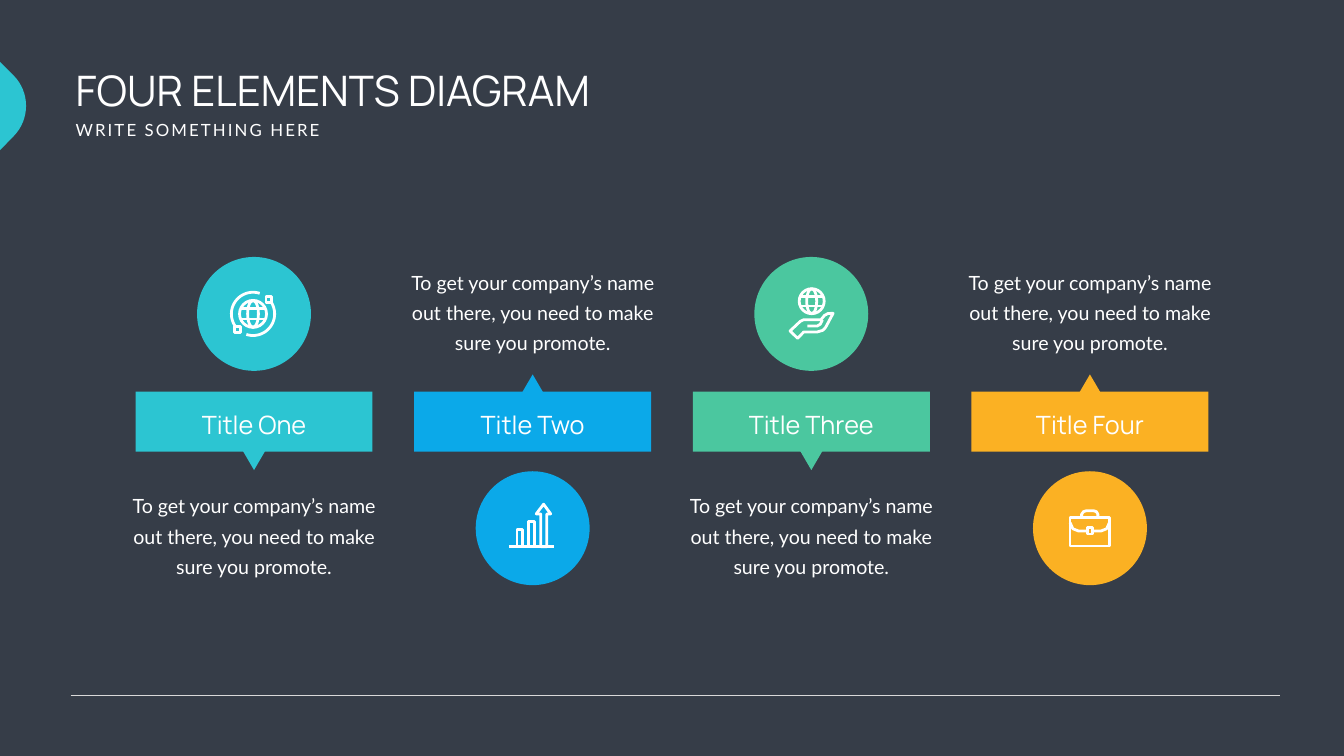
from dataclasses import dataclass
from math import cos, radians, sin

from lxml.etree import SubElement
from pptx import Presentation
from pptx.dml.color import RGBColor
from pptx.enum.shapes import MSO_CONNECTOR, MSO_SHAPE
from pptx.enum.text import MSO_AUTO_SIZE, PP_ALIGN
from pptx.oxml.ns import qn
from pptx.util import Cm, Pt

TITLE = "FOUR ELEMENTS DIAGRAM"
SUBTITLE = "WRITE SOMETHING HERE"
DESCRIPTION = "To get your company’s name out there, you need to make sure you promote."


@dataclass(frozen=True)
class Theme:
    background: str = "363D48"
    white: str = "FFFFFF"
    rule: str = "D9D9D9"
    teal: str = "2CC5D2"
    blue: str = "0BA9E9"
    green: str = "4BC79F"
    amber: str = "FBB123"
    heading_font: str = "Manrope"
    body_font: str = "Lato"
    title_size: int = 60
    subtitle_size: int = 24
    label_size: int = 36
    body_size: int = 28
    body_leading: int = 43
    icon_stroke: float = 4
    rule_width: float = 0.5


THEME = Theme()


def arc(x, y, radius, start, stop, steps=24):
    angles = [radians(start + (stop - start) * i / steps) for i in range(steps + 1)]
    return "open", [(x + radius * cos(a), y + radius * sin(a)) for a in angles]


def rectangle(left, top, right, bottom):
    return "closed", [(left, top), (right, top), (right, bottom), (left, bottom)]


def square(x, y, half):
    return rectangle(x - half, y - half, x + half, y + half)


def globe(x, y, radius):
    latitude, chord = radius * 0.38, radius * 0.92
    parallels = [("open", [(x - chord, y + dy), (x + chord, y + dy)])
                 for dy in (-latitude, latitude)]
    return [("ellipse", (x, y, radius, radius)),
            ("ellipse", (x, y, radius * 0.4, radius))] + parallels


ORBIT = globe(-0.05, 0, 0.68) + [
    arc(-0.05, 0, 1.09, -72, -214),
    arc(-0.05, 0, 1.09, 108, -34),
    square(0.75, -0.71, 0.15),
    square(-0.85, 0.8, 0.15),
]
GROWTH = [
    ("open", [(-1.2, 0.93), (1.1, 0.93)]),
    rectangle(-0.79, 0.08, -0.5, 0.93),
    rectangle(-0.2, -0.33, 0.1, 0.93),
    ("closed", [(0.41, 0.93), (0.41, -0.72), (0.18, -0.72), (0.55, -1.21),
                (0.91, -0.72), (0.71, -0.72), (0.71, 0.93)]),
]
HAND = globe(0.02, -0.64, 0.63) + [
    ("closed", [(-1.07, 0.86), (-0.56, 0.38), (-0.4, 0.3), (0.48, 0.3),
                (0.66, 0.08), (0.84, -0.02), (1.1, -0.03), (0.72, 0.68),
                (0.58, 0.83), (0.3, 0.91), (-0.38, 0.91), (-0.69, 1.23)]),
    ("open", [(-0.2, 0.61), (0.3, 0.61), (0.45, 0.52), (0.56, 0.3)]),
]
BRIEFCASE = [
    rectangle(-1, -0.55, 0.98, 0.9),
    ("open", [(-0.42, -0.55), (-0.42, -0.7), (-0.33, -0.83), (-0.18, -0.88),
              (0.18, -0.88), (0.33, -0.83), (0.4, -0.7), (0.4, -0.55)]),
    ("open", [(-1, -0.28), (-0.86, 0.03), (-0.58, 0.14), (-0.2, 0.14)]),
    ("open", [(0.18, 0.14), (0.56, 0.14), (0.84, 0.03), (0.98, -0.28)]),
    rectangle(-0.14, -0.04, 0.11, 0.29),
]

ELEMENTS = [
    ("Title One", THEME.teal, ORBIT),
    ("Title Two", THEME.blue, GROWTH),
    ("Title Three", THEME.green, HAND),
    ("Title Four", THEME.amber, BRIEFCASE),
]

FIRST_CENTER, PITCH = 12.8, 14.04
BAR_TOP, BAR_WIDTH, BAR_HEIGHT = 19.74, 11.94, 3.02
POINTER_WIDTH, POINTER_HEIGHT = 2.87, 2.46
CIRCLE = 5.74
TEXT_WIDTH, TEXT_HEIGHT = 13.2, 4.7
UPPER = {"circle": 15.82, "text": 13.18, "pointer": 18.87}
LOWER = {"circle": 26.62, "text": 24.46, "pointer": 21.23}


def color(value):
    return RGBColor.from_string(value)


def paint(shape, fill):
    shape.shadow.inherit = False
    shape.fill.solid()
    shape.fill.fore_color.rgb = color(fill)
    shape.line.fill.background()


def add_filled(slide, kind, left, top, width, height, fill):
    shape = slide.shapes.add_shape(kind, Cm(left), Cm(top), Cm(width), Cm(height))
    paint(shape, fill)
    return shape


def add_outline(slide, points, close):
    corners = [(Cm(x), Cm(y)) for x, y in points]
    builder = slide.shapes.build_freeform(*corners[0], scale=1.0)
    builder.add_line_segments(corners[1:], close=close)
    return builder.convert_to_shape()


def add_text(slide, text, left, top, width, height, font, size,
             align=PP_ALIGN.LEFT, leading=None, tracking=None):
    box = slide.shapes.add_textbox(Cm(left), Cm(top), Cm(width), Cm(height))
    frame = box.text_frame
    frame.word_wrap = True
    frame.auto_size = MSO_AUTO_SIZE.SHAPE_TO_FIT_TEXT
    para = frame.paragraphs[0]
    para.alignment = align
    para.font.name = font
    para.font.size = Pt(size)
    para.font.color.rgb = color(THEME.white)
    if leading:
        para.line_spacing = Pt(leading)
    span = para.add_run()
    span.text = text
    if tracking:
        span._r.get_or_add_rPr().set("spc", str(tracking * 100))


def add_icon(slide, strokes, center_x, center_y):
    for kind, data in strokes:
        if kind == "ellipse":
            x, y, rx, ry = data
            shape = slide.shapes.add_shape(
                MSO_SHAPE.OVAL, Cm(center_x + x - rx), Cm(center_y + y - ry),
                Cm(2 * rx), Cm(2 * ry))
        else:
            points = [(center_x + x, center_y + y) for x, y in data]
            shape = add_outline(slide, points, kind == "closed")
        shape.shadow.inherit = False
        shape.fill.background()
        shape.line.color.rgb = color(THEME.white)
        shape.line.width = Pt(THEME.icon_stroke)


def add_header(slide):
    add_text(slide, TITLE, 3.56, 3.15, 40.8, 2.82, THEME.heading_font, THEME.title_size)
    add_text(slide, SUBTITLE, 3.56, 5.92, 16, 1.27, THEME.body_font,
             THEME.subtitle_size, tracking=3)
    steps = [i / 16 for i in range(17)]
    curve = [(0.69 + 2.49 * t * (1 - t),
              3.81 * (1 - t) ** 3 + 13.95 * t * (1 - t) ** 2
              + 18.06 * t ** 2 * (1 - t) + 6.86 * t ** 3) for t in steps]
    paint(add_outline(slide, [(0, 7.57), (0, 3.12)] + curve, True), THEME.teal)


def add_rule(slide):
    rule = slide.shapes.add_connector(
        MSO_CONNECTOR.STRAIGHT, Cm(3.56), Cm(35.03), Cm(64.52), Cm(35.03))
    rule.line.color.rgb = color(THEME.rule)
    rule.line.width = Pt(THEME.rule_width)
    SubElement(rule._element.spPr, qn("a:effectLst"))


def add_element(slide, index, label, fill, icon):
    center = FIRST_CENTER + index * PITCH
    icon_side, text_side = (UPPER, LOWER) if index % 2 == 0 else (LOWER, UPPER)
    add_filled(slide, MSO_SHAPE.RECTANGLE, center - BAR_WIDTH / 2, BAR_TOP,
               BAR_WIDTH, BAR_HEIGHT, fill)
    pointer = add_filled(slide, MSO_SHAPE.ISOSCELES_TRIANGLE, center - POINTER_WIDTH / 2,
                         text_side["pointer"], POINTER_WIDTH, POINTER_HEIGHT, fill)
    pointer.rotation = 180 if text_side is LOWER else 0
    add_text(slide, label, center - BAR_WIDTH / 2, 20.52, BAR_WIDTH, 1.8,
             THEME.heading_font, THEME.label_size, PP_ALIGN.CENTER)
    add_text(slide, DESCRIPTION, center - TEXT_WIDTH / 2, text_side["text"],
             TEXT_WIDTH, TEXT_HEIGHT, THEME.body_font, THEME.body_size,
             PP_ALIGN.CENTER, THEME.body_leading)
    middle = icon_side["circle"]
    add_filled(slide, MSO_SHAPE.OVAL, center - CIRCLE / 2, middle - CIRCLE / 2,
               CIRCLE, CIRCLE, fill)
    add_icon(slide, icon, center, middle)


def main():
    deck = Presentation()
    deck.slide_width, deck.slide_height = Cm(67.72), Cm(38.1)
    slide = deck.slides.add_slide(deck.slide_layouts[6])
    slide.background.fill.solid()
    slide.background.fill.fore_color.rgb = color(THEME.background)
    add_rule(slide)
    add_header(slide)
    for index, element in enumerate(ELEMENTS):
        add_element(slide, index, *element)
    deck.save("out.pptx")


if __name__ == "__main__":
    main()
